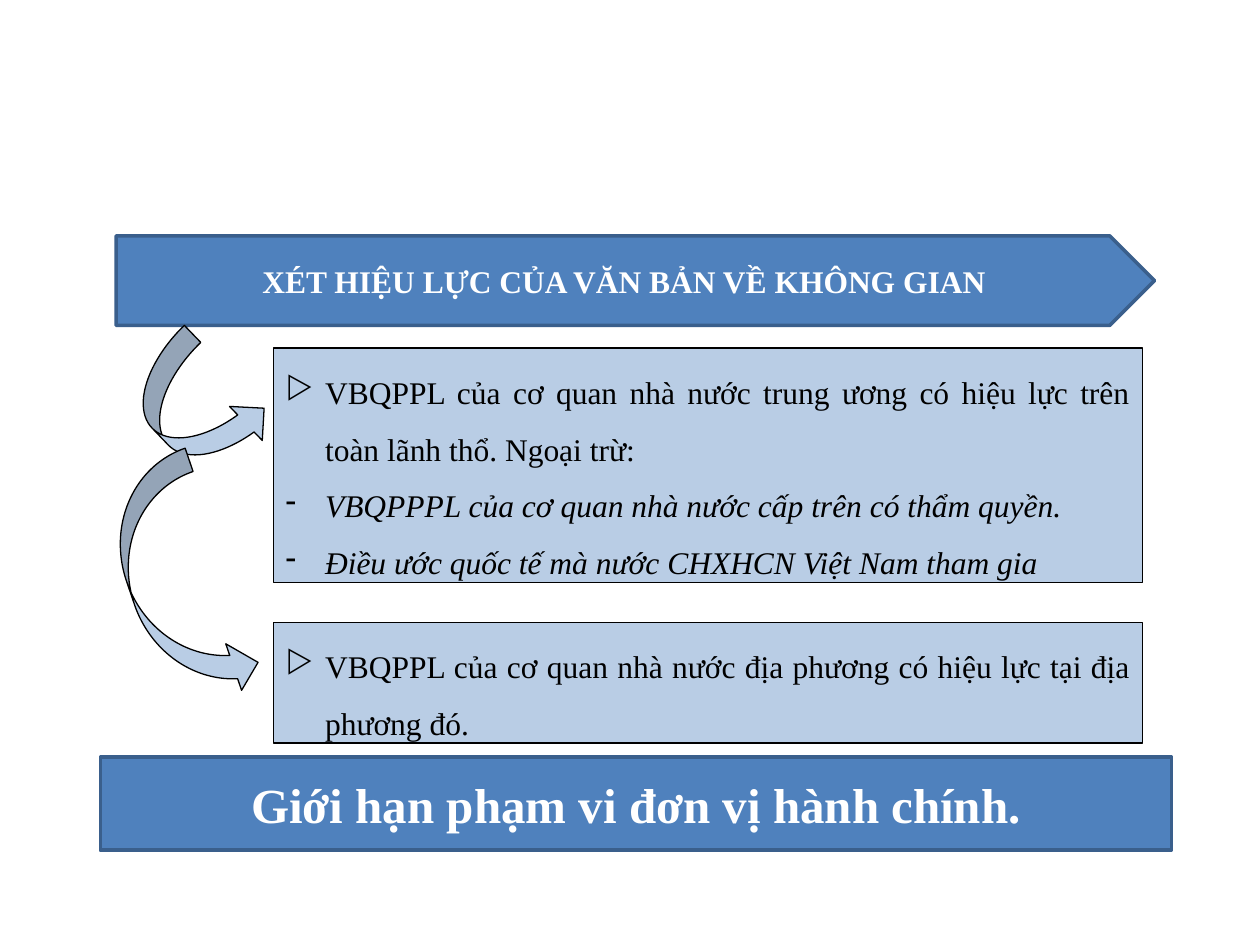
from lxml import etree
from pptx import Presentation
from pptx.dml.color import RGBColor
from pptx.enum.shapes import MSO_SHAPE
from pptx.enum.text import MSO_ANCHOR, MSO_AUTO_SIZE, PP_ALIGN
from pptx.oxml.ns import qn
from pptx.util import Pt

RECTANGLE = MSO_SHAPE.RECTANGLE
PENTAGON = MSO_SHAPE.PENTAGON
CURVED_ARROW = MSO_SHAPE.CURVED_RIGHT_ARROW
CENTER, JUSTIFY = PP_ALIGN.CENTER, PP_ALIGN.JUSTIFY
TOP, MIDDLE = MSO_ANCHOR.TOP, MSO_ANCHOR.MIDDLE
GROW = MSO_AUTO_SIZE.SHAPE_TO_FIT_TEXT

COLORS = {"banner": "4F81BD", "banner_edge": "3A5F8C", "card": "B9CDE5",
          "black": "000000", "white": "FFFFFF"}
FONT = "Times New Roman"
BULLET_INDENT = 22.5
CARD_LEFT, CARD_WIDTH = 156.2, 496.8

CENTRAL_RULES = [
    ("▷", "VBQPPL của cơ quan nhà nước trung ương có hiệu lực trên toàn lãnh thổ. "
          "Ngoại trừ:", False),
    ("-", "VBQPPPL của cơ quan nhà nước cấp trên có thẩm quyền.", True),
    ("-", "Điều ước quốc tế mà nước CHXHCN Việt Nam tham gia", True),
]
LOCAL_RULES = [
    ("▷", "VBQPPL của cơ quan nhà nước địa phương có hiệu lực tại địa phương đó.",
     False),
]


def rgb(name):
    return RGBColor.from_string(COLORS[name])


def add_box(slide, kind, box, fill, edge, edge_width):
    shape = slide.shapes.add_shape(kind, *(Pt(length) for length in box))
    shape.shadow.inherit = False
    shape.fill.solid()
    shape.fill.fore_color.rgb = rgb(fill)
    shape.line.color.rgb = rgb(edge)
    shape.line.width = Pt(edge_width)
    return shape


def add_run(paragraph, text, size, color, bold=False, italic=False):
    run = paragraph.add_run()
    run.text = text
    font = run.font
    font.name, font.size = FONT, Pt(size)
    font.bold, font.italic = bold, italic
    font.color.rgb = rgb(color)


def set_bullet(paragraph, char):
    properties = paragraph._p.get_or_add_pPr()
    properties.set("marL", str(Pt(BULLET_INDENT)))
    properties.set("indent", str(-Pt(BULLET_INDENT)))
    etree.SubElement(properties, qn("a:buChar")).set("char", char)


def add_banner(slide, kind, box, text, size):
    banner = add_box(slide, kind, box, "banner", "banner_edge", 2)
    frame = banner.text_frame
    frame.word_wrap = True
    frame.vertical_anchor = MIDDLE
    paragraph = frame.paragraphs[0]
    paragraph.alignment = CENTER
    add_run(paragraph, text, size, "white", bold=True)


def add_rule_card(slide, box, rules):
    card = add_box(slide, RECTANGLE, box, "card", "black", 0.75)
    frame = card.text_frame
    frame.word_wrap = True
    frame.auto_size = GROW
    frame.vertical_anchor = TOP
    for index, (bullet, text, italic) in enumerate(rules):
        paragraph = frame.add_paragraph() if index else frame.paragraphs[0]
        paragraph.alignment = JUSTIFY
        paragraph.line_spacing = 1.5
        set_bullet(paragraph, bullet)
        add_run(paragraph, text, 18, "black", italic=italic)


def add_curved_arrow(slide, box, rotation):
    arrow = add_box(slide, CURVED_ARROW, box, "card", "black", 0.75)
    arrow.rotation = rotation


def main():
    presentation = Presentation()
    presentation.slide_width, presentation.slide_height = Pt(720), Pt(540)
    slide = presentation.slides.add_slide(presentation.slide_layouts[6])

    # Heading
    add_banner(slide, PENTAGON, (66.4, 134.8, 593.4, 51.2),
               "XÉT HIỆU LỰC CỦA VĂN BẢN VỀ KHÔNG GIAN", 18)

    # Central rules, the arrows to both cards, local rules
    add_rule_card(slide, (CARD_LEFT, 198.8, CARD_WIDTH, 134), CENTRAL_RULES)
    add_curved_arrow(slide, (86.4, 193.6, 54, 79.2), 316.1)
    add_curved_arrow(slide, (74.2, 261.4, 56.2, 143.3), 341.2)
    add_rule_card(slide, (CARD_LEFT, 355.6, CARD_WIDTH, 69), LOCAL_RULES)

    # Conclusion
    add_banner(slide, RECTANGLE, (57.4, 432.6, 612, 53.3),
               "Giới hạn phạm vi đơn vị hành chính.", 28)

    presentation.save("out.pptx")


if __name__ == "__main__":
    main()
